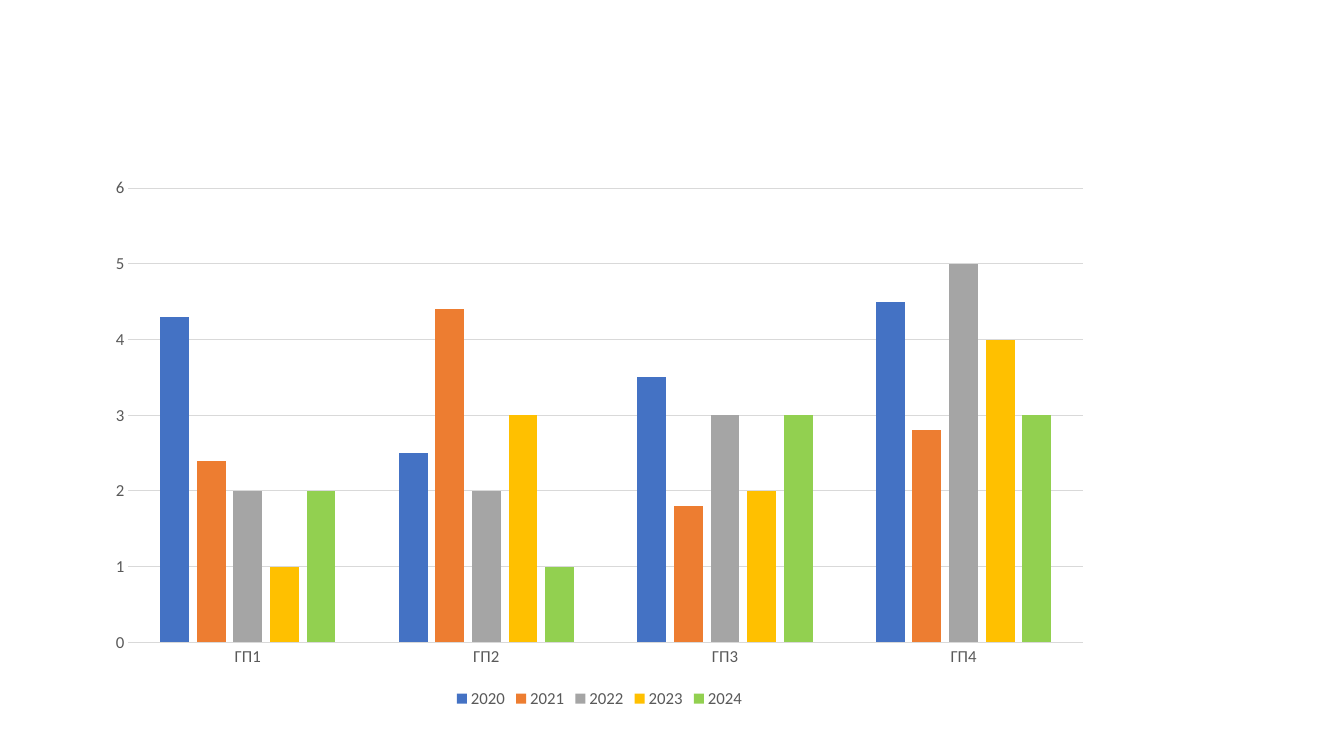
import pptx
import pptx.chart.data
import pptx.dml.color
import pptx.enum.chart
import pptx.util

EMU_PER_PX = 9144  # 100 px to the inch
SLIDE_SIZE = (1333, 750)
CHART_BOX = (95, 166, 999, 541)

COLORS = {
    "text": "595959",
    "rule": "D9D9D9",
    "2020": "4472C4",
    "2021": "ED7D31",
    "2022": "A5A5A5",
    "2023": "FFC000",
    "2024": "92D050",
}
GROUPS = ["ГП1", "ГП2", "ГП3", "ГП4"]
YEARS = {
    "2020": (4.3, 2.5, 3.5, 4.5),
    "2021": (2.4, 4.4, 1.8, 2.8),
    "2022": (2, 2, 3, 5),
    "2023": (1, 3, 2, 4),
    "2024": (2, 1, 3, 3),
}


def px(length):
    return pptx.util.Emu(length * EMU_PER_PX)


def rgb(name):
    return pptx.dml.color.RGBColor.from_string(COLORS[name])


def format_text(font, size=12, color="text", face="Calibri"):
    font.size = pptx.util.Pt(size)
    font.name = face
    font.bold = False
    font.color.rgb = rgb(color)


def format_rule(line):
    line.color.rgb = rgb("rule")
    line.width = pptx.util.Pt(0.75)


def format_axes(chart):
    groups, scale = chart.category_axis, chart.value_axis
    for axis in (groups, scale):
        axis.major_tick_mark = pptx.enum.chart.XL_TICK_MARK.NONE
        axis.minor_tick_mark = pptx.enum.chart.XL_TICK_MARK.NONE
        format_text(axis.tick_labels.font)
    format_rule(groups.format.line)
    scale.minimum_scale, scale.maximum_scale, scale.major_unit = 0, 6, 1
    scale.has_major_gridlines = True
    format_rule(scale.major_gridlines.format.line)
    scale.format.line.fill.background()


def add_year_chart(slide, box):
    """Clustered columns: one cluster per group, one column per year."""
    data = pptx.chart.data.CategoryChartData()
    data.categories = GROUPS
    for year, values in YEARS.items():
        data.add_series(year, values)
    chart = slide.shapes.add_chart(
        pptx.enum.chart.XL_CHART_TYPE.COLUMN_CLUSTERED, *map(px, box), data
    ).chart
    chart.has_title = False
    format_text(chart.font)
    format_axes(chart)

    columns = chart.plots[0]
    columns.vary_by_categories = False
    columns.gap_width = 219
    columns.overlap = -27
    for year in columns.series:
        year.invert_if_negative = False
        year.format.fill.solid()
        year.format.fill.fore_color.rgb = rgb(year.name)

    chart.has_legend = True
    chart.legend.position = pptx.enum.chart.XL_LEGEND_POSITION.BOTTOM
    chart.legend.include_in_layout = False
    format_text(chart.legend.font)


def main():
    deck = pptx.Presentation()
    deck.slide_width, deck.slide_height = map(px, SLIDE_SIZE)
    slide = deck.slides.add_slide(deck.slide_layouts[6])
    add_year_chart(slide, CHART_BOX)
    deck.save("out.pptx")


if __name__ == "__main__":
    main()
